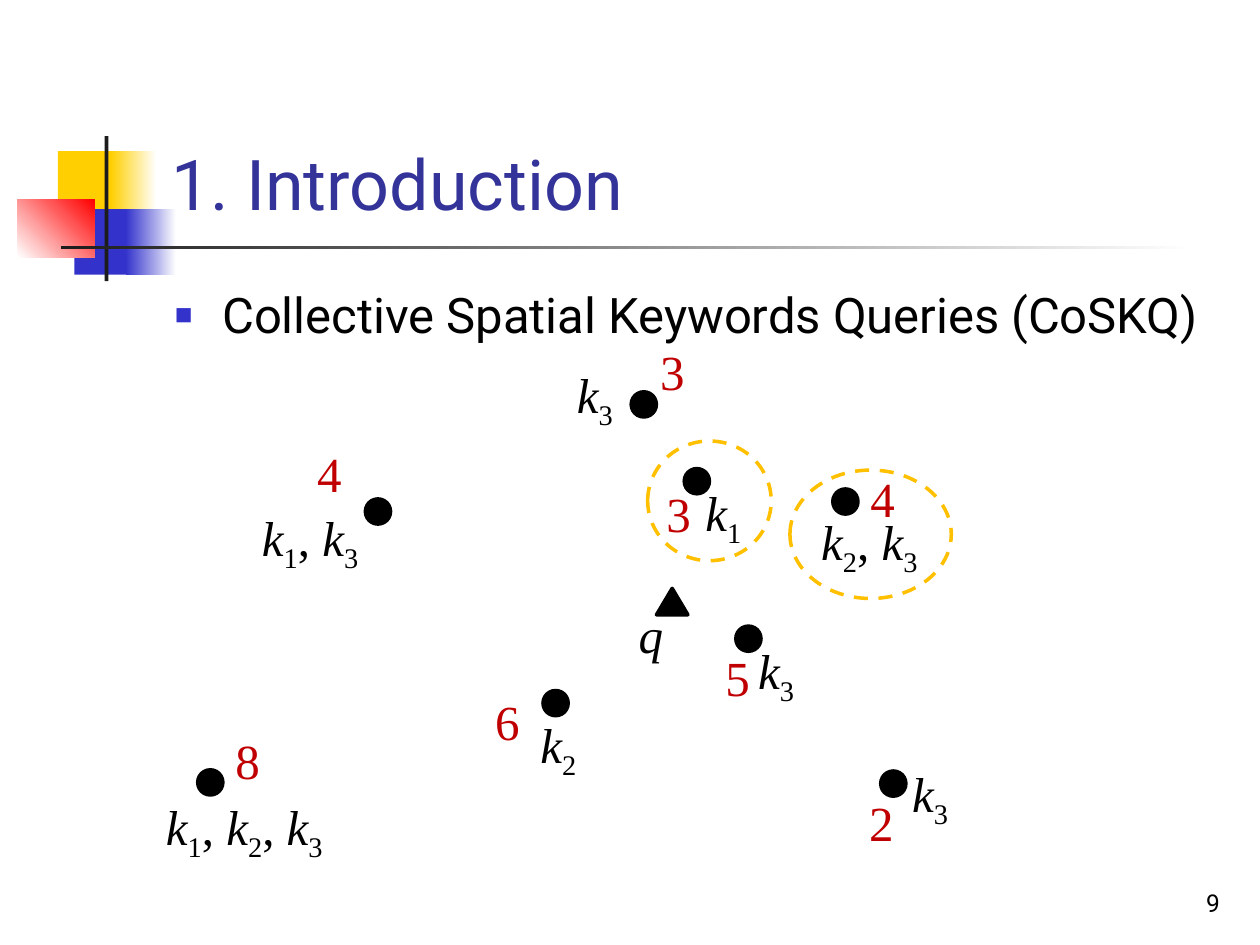
from lxml.etree import SubElement
from pptx import Presentation
from pptx.dml.color import RGBColor
from pptx.enum.dml import MSO_LINE
from pptx.enum.shapes import MSO_SHAPE as SHAPE
from pptx.enum.text import MSO_ANCHOR as ANCHOR, MSO_AUTO_SIZE as AUTO_SIZE, PP_ALIGN as ALIGN
from pptx.oxml.ns import qn
from pptx.util import Pt

BLACK = RGBColor(0x00, 0x00, 0x00)
WHITE = RGBColor(0xFF, 0xFF, 0xFF)
CHARCOAL = RGBColor(0x1C, 0x1C, 0x1C)
YELLOW = RGBColor(0xFF, 0xCF, 0x01)
BLUE = RGBColor(0x33, 0x33, 0xCC)
RED = RGBColor(0xFF, 0x00, 0x00)
NAVY = RGBColor(0x33, 0x33, 0x99)
AMBER = RGBColor(0xFF, 0xC0, 0x00)
CRIMSON = RGBColor(0xC0, 0x00, 0x00)

SANS = "Roboto"
SERIF = "Times New Roman"
DOT_SIZE = 14.4
LABEL_HEIGHT = 41

ORNAMENTS = [
    ((33.1, 86.4, 34.6, 37.4), [YELLOW], 0),
    ((63.4, 86.4, 25.9, 37.4), [YELLOW, WHITE], 0),
    ((42.5, 119.5, 33.1, 37.4), [BLUE], 0),
    ((72, 119.5, 28.8, 37.4), [BLUE, WHITE], 0),
    ((10.1, 113.8, 43.9, 33.1), [WHITE, RED], 45),
    ((59.8, 77.8, 2.2, 82.8), [CHARCOAL], 0),
    ((34.6, 140.4, 648, 2.2), [CHARCOAL, WHITE], 0),
]

RESULT_RINGS = [(451.4, 268.6, 92.2, 73.4), (370.1, 252, 70.6, 68.4)]

SPATIAL_OBJECTS = [
    ((360.7, 223.9), "3", (322.6, 204.5), "3", (370.1, 191.5)),
    ((208.8, 285.1), "13", (142.6, 286.6), "4", (174.2, 249.8)),
    ((310.3, 394.6), "2", (301.7, 404.6), "6", (275.8, 391.7)),
    ((391, 267.8), "1", (396, 272.2), "3", (373.7, 272.9)),
    ((420.5, 357.8), "3", (426.2, 362.2), "5", (407.5, 366.5)),
    ((475.9, 279.4), "23", (462.2, 288.7), "4", (490.3, 264.2)),
    ((503.3, 440.6), "3", (514.1, 432.7), "2", (489.6, 449.3)),
    ((113, 439.9), "123", (87.8, 451.4), "8", (127.4, 414)),
]


def points(box):
    return [Pt(value) for value in box]


def style(paragraph, size, face, color):
    font = paragraph.font
    font.size = Pt(size)
    font.name = face
    font.color.rgb = color


def add_figure(slide, kind, box, colors=(), angle=0):
    figure = slide.shapes.add_shape(kind, *points(box))
    figure.shadow.inherit = False
    figure.line.fill.background()
    if not colors:
        figure.fill.background()
    elif len(colors) == 1:
        figure.fill.solid()
        figure.fill.fore_color.rgb = colors[0]
    else:
        figure.fill.gradient()
        figure.fill.gradient_angle = angle
        for stop, color in zip(figure.fill.gradient_stops, colors):
            stop.color.rgb = color
    return figure


def add_outline(figure, color):
    figure.line.color.rgb = color
    figure.line.width = Pt(2)


def add_marker(slide, kind, box):
    add_outline(add_figure(slide, kind, box, [BLACK]), BLACK)


def add_ring(slide, box):
    ring = add_figure(slide, SHAPE.OVAL, box)
    add_outline(ring, AMBER)
    ring.line.dash_style = MSO_LINE.DASH


def add_text(slide, box, text, size, face, color):
    frame = slide.shapes.add_textbox(*points(box)).text_frame
    frame.word_wrap = True
    paragraph = frame.paragraphs[0]
    paragraph.text = text
    style(paragraph, size, face, color)
    return paragraph


def add_label(slide, position, text, width, color):
    return add_text(slide, (*position, width, LABEL_HEIGHT), text, 28, SERIF, color)


def add_keywords(slide, position, indices):
    label = add_label(slide, position, "", 25 + 35 * len(indices), BLACK)
    for number, index in enumerate(indices):
        if number:
            label.add_run().text = ", "
        keyword = label.add_run()
        keyword.text = "k"
        keyword.font.italic = True
        subscript = label.add_run()
        subscript.text = index
        subscript.font._element.set("baseline", "-25000")


def add_title(slide, text):
    title = slide.shapes.title
    title.left, title.top, title.width, title.height = points((90.7, 16.6, 613.4, 115.2))
    frame = title.text_frame
    frame.text = text
    frame.auto_size = AUTO_SIZE.NONE
    frame.vertical_anchor = ANCHOR.BOTTOM
    frame.paragraphs[0].alignment = ALIGN.LEFT
    style(frame.paragraphs[0], 40, SANS, NAVY)
    slide.shapes._spTree.append(title._element)


def add_bullet(slide, text):
    topic = add_text(slide, (92.9, 159.1, 612, 324), text, 28, SANS, BLACK)
    topic.space_before = Pt(5.6)
    properties = topic._p.get_or_add_pPr()
    properties.set("marL", str(Pt(27)))
    properties.set("indent", str(-Pt(27)))
    bullet_color = SubElement(properties, qn("a:buClr"))
    SubElement(bullet_color, qn("a:srgbClr"), val=str(BLUE))
    SubElement(properties, qn("a:buSzPct"), val="60000")
    SubElement(properties, qn("a:buFont"), typeface="Arial")
    SubElement(properties, qn("a:buChar"), char="■")
    properties.append(properties.find(qn("a:defRPr")))


def add_page_number(slide, text):
    number = add_text(slide, (554.4, 491.8, 149.8, 36), text, 14, SANS, BLACK)
    number.alignment = ALIGN.RIGHT
    slide.shapes[-1].text_frame.vertical_anchor = ANCHOR.BOTTOM


def main():
    deck = Presentation()
    deck.slide_width, deck.slide_height = Pt(720), Pt(540)
    slide = deck.slides.add_slide(deck.slide_layouts[5])

    for box, colors, angle in ORNAMENTS:
        add_figure(slide, SHAPE.RECTANGLE, box, colors, angle)
    add_title(slide, "1. Introduction")
    add_page_number(slide, "9")
    add_bullet(slide, "Collective Spatial Keywords Queries (CoSKQ)")

    for box in RESULT_RINGS:
        add_ring(slide, box)
    for dot, indices, keywords_at, cost, cost_at in SPATIAL_OBJECTS:
        add_marker(slide, SHAPE.OVAL, (*dot, DOT_SIZE, DOT_SIZE))
        add_keywords(slide, keywords_at, indices)
        add_label(slide, cost_at, cost, 28, CRIMSON)

    add_marker(slide, SHAPE.ISOSCELES_TRIANGLE, (375.1, 336.2, 18, 15.1))
    query = add_label(slide, (357.8, 342), "q", 40, BLACK)
    query.font.italic = True

    deck.save("out.pptx")


if __name__ == "__main__":
    main()
